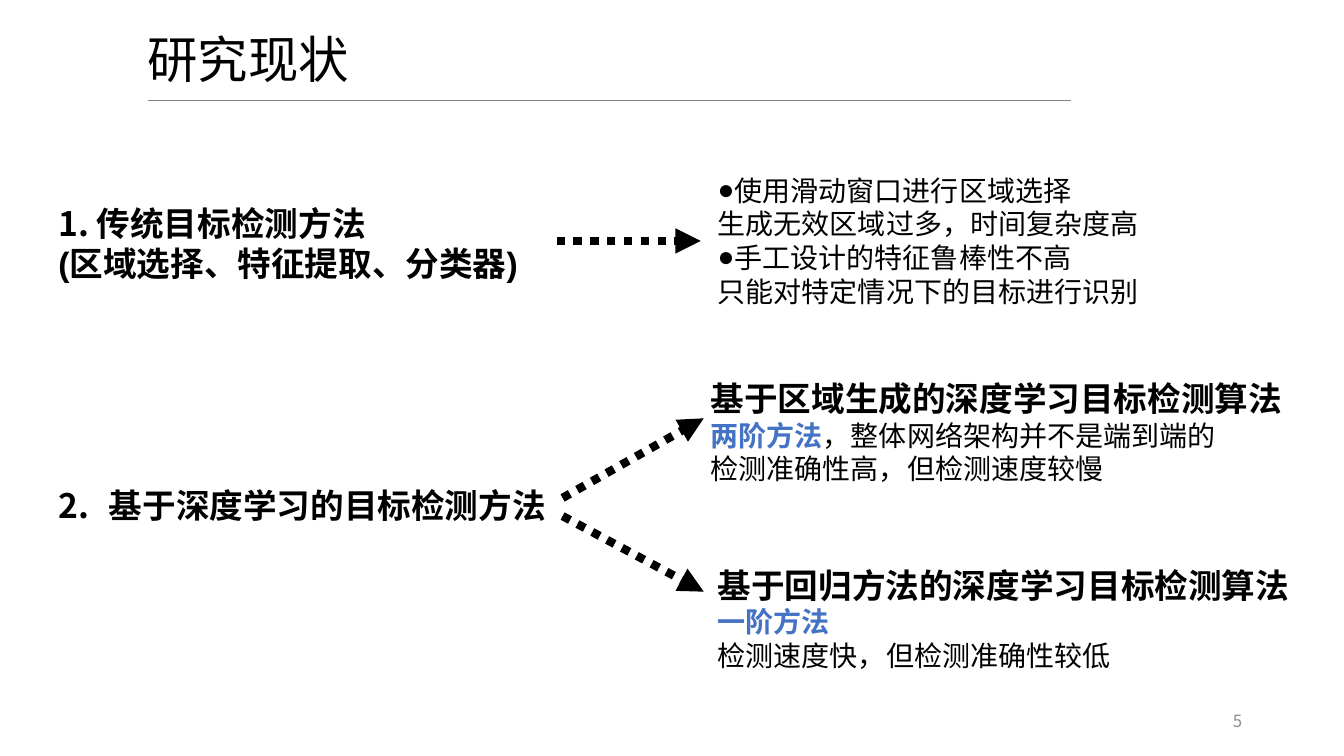
"""Build the slide on the state of research in object detection."""
from lxml import etree
from pptx import Presentation
from pptx.dml.color import RGBColor
from pptx.enum import dml, shapes, text
from pptx.oxml import ns
from pptx.util import Inches, Pt

BLACK, BLUE, GREY, PALE = "000000", "4472C4", "808080", "8C8C8C"
CJK = "Noto Sans CJK SC"

TITLE = [([("研究现状", 36, False, BLACK)], {})]
METHODS = [
    ([("传统目标检测方法", 24, True, BLACK)], {"number": 1, "indent": 0.38}),
    ([("(区域选择、特征提取、分类器)", 24, True, BLACK)], {}),
    ([("基于深度学习的目标检测方法", 24, True, BLACK)],
     {"number": 2, "indent": 0.5, "before": 144}),
]
LIMITS = [
    ([("使用滑动窗口进行区域选择", 20, False, BLACK)], {"bullet": "●"}),
    ([("生成无效区域过多，时间复杂度高", 20, False, BLACK)], {}),
    ([("手工设计的特征鲁棒性不高", 20, False, BLACK)], {"bullet": "●"}),
    ([("只能对特定情况下的目标进行识别", 20, False, BLACK)], {}),
]
TWO_STAGE = [
    ([("基于区域生成的深度学习目标检测算法", 24, True, BLACK)], {}),
    ([("两阶方法", 20, True, BLUE),
      ("，整体网络架构并不是端到端的", 20, False, BLACK)], {}),
    ([("检测准确性高，但检测速度较慢", 20, False, BLACK)], {}),
]
ONE_STAGE = [
    ([("基于回归方法的深度学习目标检测算法", 24, True, BLACK)], {}),
    ([("一阶方法", 20, True, BLUE)], {}),
    ([("检测速度快，但检测准确性较低", 20, False, BLACK)], {}),
]
NUMBER = [([("5", 12, False, PALE)], {})]

NOTES = [
    (LIMITS, (7.02, 1.67, 4.38, 1.45)),
    (TWO_STAGE, (6.95, 3.7, 5.95, 1.18)),
    (ONE_STAGE, (7.02, 5.55, 5.95, 1.18)),
]
ARROWS = [
    (5.52, 2.39, 6.95, 2.39),
    (5.58, 4.94, 6.98, 4.15),
    (5.58, 5.12, 6.98, 5.87),
]


def rgb(color):
    return RGBColor.from_string(color)


def add(parent, tag, **attrs):
    return etree.SubElement(parent, ns.qn(tag), attrs)


def mark(p, number=None, bullet=None, indent=0):
    pPr = p._p.get_or_add_pPr()
    pPr.set("marL", str(Inches(indent)))
    pPr.set("indent", str(-Inches(indent)))
    if number:
        add(pPr, "a:buFont", typeface="Arial")
        add(pPr, "a:buAutoNum", type="arabicPeriod", startAt=str(number))
    elif bullet:
        add(pPr, "a:buFont", typeface="Arial")
        add(pPr, "a:buChar", char=bullet)
    else:
        add(pPr, "a:buNone")


def write(sp, lines, box, font="Arial", wrap=True,
          anchor=text.MSO_ANCHOR.TOP, align=text.PP_ALIGN.LEFT):
    sp.left, sp.top, sp.width, sp.height = map(Inches, box)
    tf = sp.text_frame
    tf.word_wrap = wrap
    tf.auto_size = text.MSO_AUTO_SIZE.NONE
    tf.vertical_anchor = anchor
    for i, (runs, style) in enumerate(lines):
        p = tf.add_paragraph() if i else tf.paragraphs[0]
        style = dict(style)
        before = style.pop("before", 0)
        mark(p, **style)
        p.alignment = align
        p.space_before = Pt(before)
        p.line_spacing = Pt(1.2 * runs[0][1])
        for words, size, bold, color in runs:
            r = p.add_run()
            r.text = words
            r.font.size, r.font.bold, r.font.name = Pt(size), bold, font
            r.font.color.rgb = rgb(color)
            add(r._r.get_or_add_rPr(), "a:ea", typeface=CJK)


def add_line(s, ends, color, width):
    line = s.shapes.add_connector(shapes.MSO_CONNECTOR.STRAIGHT, *map(Inches, ends))
    line.line.color.rgb = rgb(color)
    line.line.width = Pt(width)
    add(line._element.spPr, "a:effectLst")
    return line


def add_arrow(s, ends):
    arrow = add_line(s, ends, BLACK, 6)
    arrow.line.dash_style = dml.MSO_LINE.ROUND_DOT
    add(arrow.line._get_or_add_ln(), "a:tailEnd", type="triangle")


def main():
    prs = Presentation()
    prs.slide_width, prs.slide_height = Inches(13.33), Inches(7.5)
    s = prs.slides.add_slide(prs.slide_layouts[1])
    write(s.shapes.title, TITLE, (1.36, 0.23, 2.22, 0.71), font=CJK, wrap=False)
    write(s.placeholders[1], METHODS, (0.48, 1.96, 5.09, 3.33))
    add_line(s, (1.47, 1, 10.62, 1), GREY, 1)
    for ends in ARROWS:
        add_arrow(s, ends)
    for lines, box in NOTES:
        write(s.shapes.add_textbox(0, 0, 0, 0), lines, box)
    write(s.shapes.add_textbox(0, 0, 0, 0), NUMBER, (9.42, 6.95, 3, 0.4), font=CJK,
          anchor=text.MSO_ANCHOR.MIDDLE, align=text.PP_ALIGN.RIGHT)
    prs.save("out.pptx")


if __name__ == "__main__":
    main()
